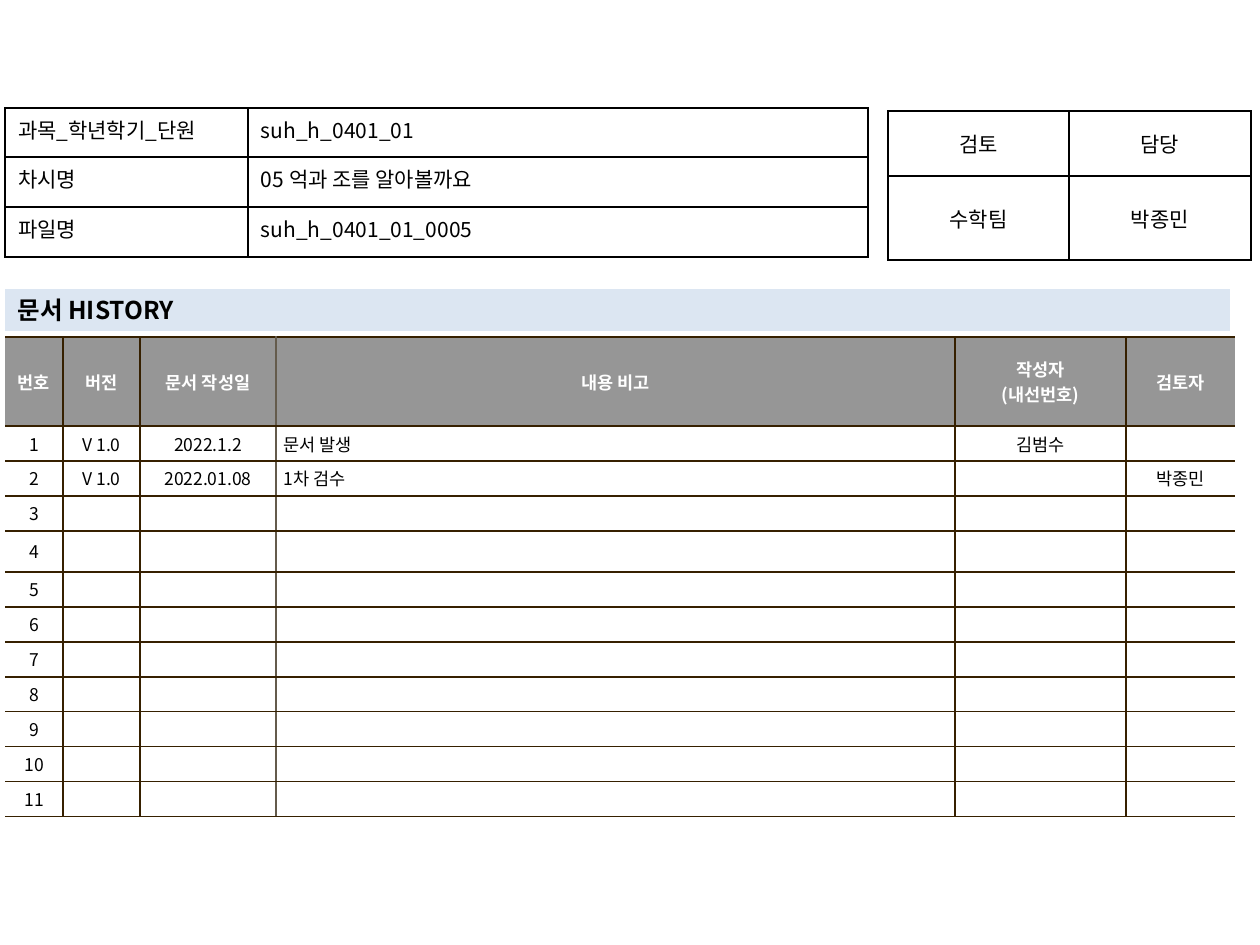
from pptx import Presentation
from pptx import util as u
from pptx.dml.color import RGBColor
from pptx.enum import text as t
from pptx.oxml.ns import qn
from lxml import etree

PX_PER_INCH = 126
FONT = "Noto Sans CJK KR"
BLACK = RGBColor(0x00, 0x00, 0x00)
WHITE = RGBColor(0xFF, 0xFF, 0xFF)
GREY = RGBColor(0x96, 0x96, 0x96)
PALE_BLUE = RGBColor(0xDC, 0xE6, 0xF2)
BROWN = RGBColor(0x36, 0x20, 0x00)
LIGHT_BROWN = RGBColor(0x64, 0x5B, 0x4C)

LEFT, CENTER, JUSTIFY = t.PP_ALIGN.LEFT, t.PP_ALIGN.CENTER, t.PP_ALIGN.JUSTIFY
TOP, MIDDLE = t.MSO_ANCHOR.TOP, t.MSO_ANCHOR.MIDDLE

LESSON = [
    ["과목_학년학기_단원 ", "suh_h_0401_01"],
    ["차시명", "05 억과 조를 알아볼까요"],
    ["파일명", "suh_h_0401_01_0005"],
]
REVIEW = [["검토", "담당"], ["수학팀", "박종민"]]
HISTORY_HEAD = ["번호", "버전", "문서 작성일", "내용 비고", "작성자\n(내선번호)", "검토자"]
HISTORY = [
    ["1", "V 1.0", "2022.1.2", "문서 발생", "김범수", ""],
    ["2", "V 1.0", "2022.01.08", "1차 검수", "", "박종민"],
] + [[str(number)] + [""] * 5 for number in range(3, 12)]


def px(length):
    return u.Emu(round(length * 914400 / PX_PER_INCH))


def write(frame, content, size, color=BLACK, bold=False, align=LEFT):
    """Fill a text frame; each line of content becomes a paragraph."""
    frame.text = content
    for para in frame.paragraphs:
        para.alignment = align
        for span in para.runs:
            span.font.size = u.Pt(size)
            span.font.bold = bold
            span.font.color.rgb = color
            span.font.name = FONT
            etree.SubElement(span.font._element, qn("a:ea"), typeface=FONT)
        if not para.runs:
            # An empty cell needs its own size, or its row grows.
            etree.SubElement(para._p, qn("a:endParaRPr"), sz=str(size * 100))


def add_border(cell, side, color):
    """Draw a 1 pt border on side L, R, T or B; None hides it."""
    line = etree.SubElement(cell._tc.get_or_add_tcPr(), qn(f"a:ln{side}"), w=str(u.Pt(1)))
    if color is None:
        etree.SubElement(line, qn("a:noFill"))
    else:
        fill = etree.SubElement(line, qn("a:solidFill"))
        etree.SubElement(fill, qn("a:srgbClr"), val=str(color))


def add_grid(page, left, top, widths, heights):
    """Add a table without the banded look of its style."""
    table = page.shapes.add_table(len(heights), len(widths), px(left), px(top),
                                  px(sum(widths)), px(sum(heights))).table
    table.first_row = table.horz_banding = False
    for column, width in zip(table.columns, widths):
        column.width = px(width)
    for row, height in zip(table.rows, heights):
        row.height = px(height)
    return table


def format_cell(cell, content, edges, inset, fill=None, anchor=MIDDLE, **font):
    """Set text, borders (colours for L, R, T, B), insets and fill."""
    cell.margin_left = cell.margin_right = px(inset[0])
    cell.margin_top = cell.margin_bottom = px(inset[1])
    cell.vertical_anchor = anchor
    write(cell.text_frame, content, **font)
    for side, color in zip("LRTB", edges):
        add_border(cell, side, color)
    if fill is None:
        cell.fill.background()
    else:
        cell.fill.solid()
        cell.fill.fore_color.rgb = fill


def add_info_table(page, rows, left, top, widths, heights, anchor, aligns):
    table = add_grid(page, left, top, widths, heights)
    for r, row in enumerate(rows):
        for c, content in enumerate(row):
            format_cell(table.cell(r, c), content, [BLACK] * 4, (13, 6),
                        anchor=anchor, size=12, align=aligns[c])


def add_history_table(page, left, top):
    widths = [58, 77, 136, 679, 171, 109]
    heights = [89] + [41 if row[0] == "4" else 35 for row in HISTORY]
    table = add_grid(page, left, top, widths, heights)
    uprights = [None, BROWN, BROWN, LIGHT_BROWN, BROWN, BROWN, None]
    for r, row in enumerate([HISTORY_HEAD] + HISTORY):
        head = r == 0
        for c, content in enumerate(row):
            edges = [uprights[c], uprights[c + 1], BROWN, BROWN]
            format_cell(table.cell(r, c), content, edges, (8, 4),
                        fill=GREY if head else WHITE, size=10, bold=head,
                        color=WHITE if head else BLACK,
                        align=LEFT if c == 3 and not head else CENTER)


def add_heading(page, content, left, top, width, height):
    box = page.shapes.title
    box.left, box.top, box.width, box.height = map(px, (left, top, width, height))
    box.fill.solid()
    box.fill.fore_color.rgb = PALE_BLUE
    frame = box.text_frame
    frame.word_wrap = True
    frame.auto_size = t.MSO_AUTO_SIZE.NONE
    frame.vertical_anchor = MIDDLE
    write(frame, content, size=14, bold=True)


def main():
    deck = Presentation()
    deck.slide_width, deck.slide_height = u.Inches(10), u.Inches(7.5)
    page = deck.slides.add_slide(deck.slide_layouts.get_by_name("Title Only"))
    add_history_table(page, 5, 337)
    add_info_table(page, REVIEW, 888, 111, [181, 182], [65, 84], MIDDLE, [CENTER, CENTER])
    add_heading(page, "문서 HISTORY", 5, 289, 1225, 42)
    add_info_table(page, LESSON, 5, 108, [243, 620], [49, 50, 50], TOP, [JUSTIFY, LEFT])
    deck.save("out.pptx")


if __name__ == "__main__":
    main()
